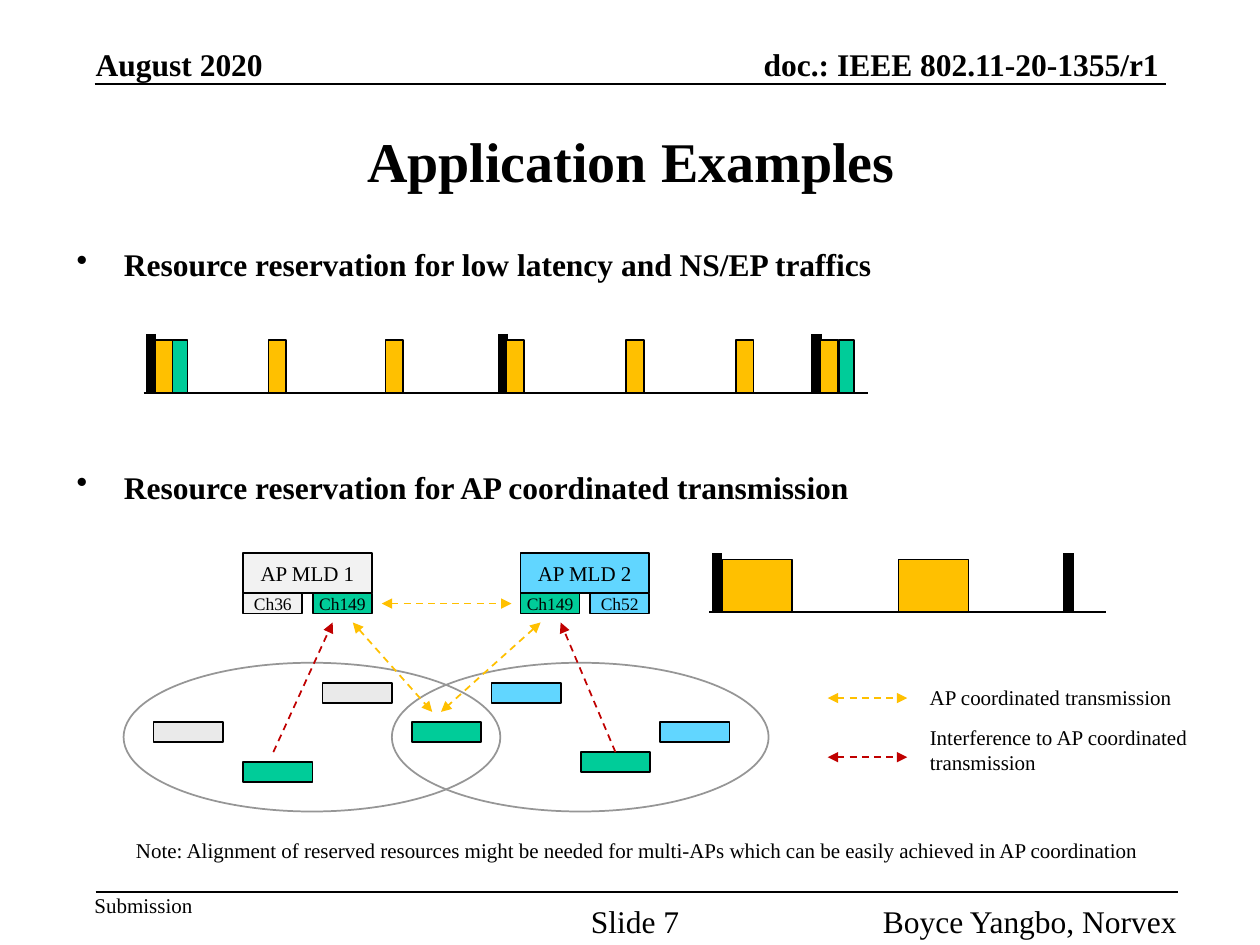
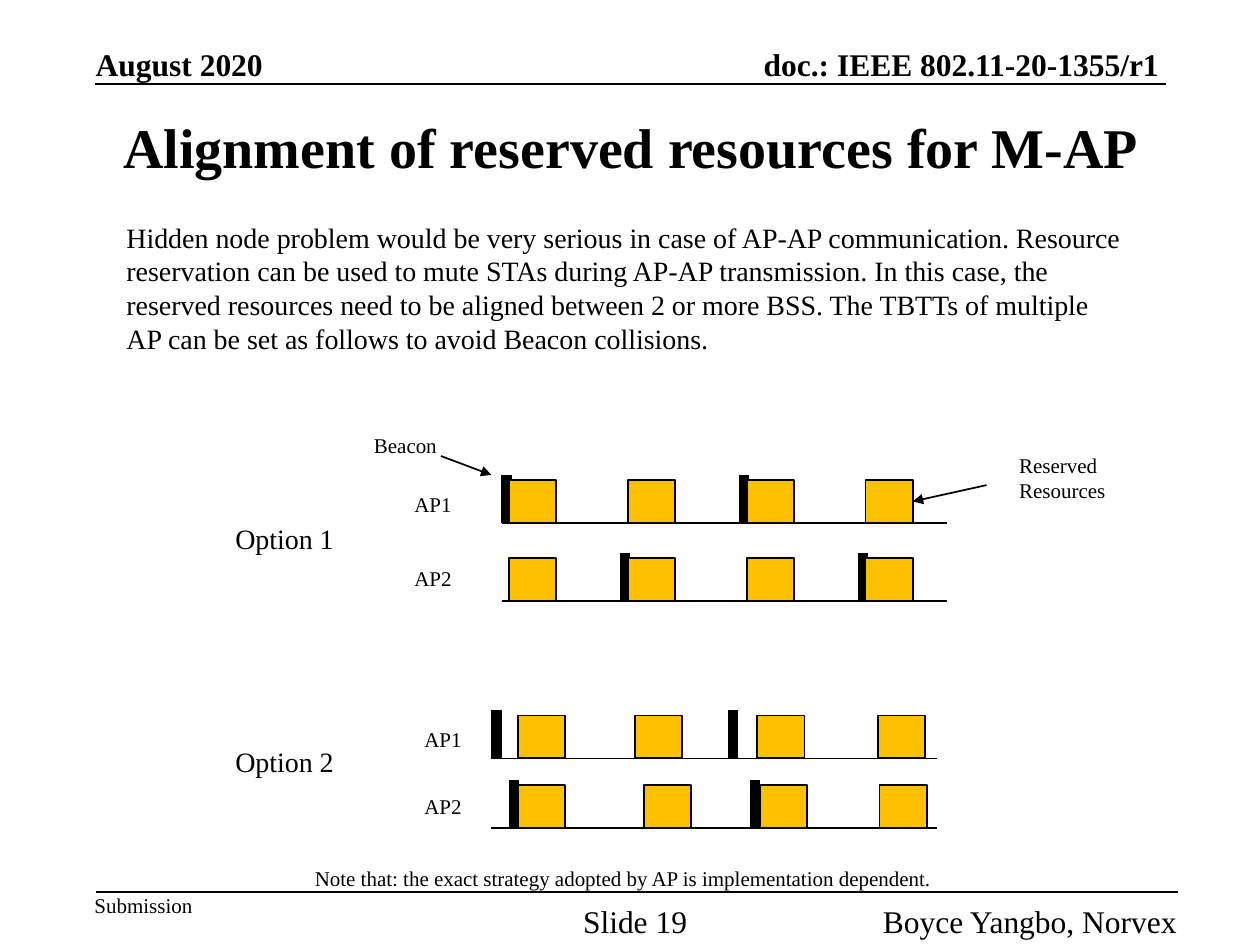
import lxml.etree
import pptx
import pptx.dml.color
import pptx.enum.dml
import pptx.enum.shapes
import pptx.enum.text
import pptx.oxml.ns
import pptx.util

Pt = pptx.util.Pt
qn = pptx.oxml.ns.qn
RGBColor = pptx.dml.color.RGBColor
ALIGN = pptx.enum.text.PP_ALIGN
ANCHOR = pptx.enum.text.MSO_ANCHOR
SHAPE = pptx.enum.shapes.MSO_SHAPE

BLACK = RGBColor(0x00, 0x00, 0x00)
AMBER = RGBColor(0xFF, 0xC0, 0x00)
GREEN = RGBColor(0x00, 0xCC, 0x99)
BLUE = RGBColor(0x61, 0xD6, 0xFF)
PALE = RGBColor(0xF2, 0xF2, 0xF2)
SILVER = RGBColor(0xEA, 0xEA, 0xEA)
GRAY = RGBColor(0x96, 0x96, 0x96)
RED = RGBColor(0xC0, 0x00, 0x00)


class SlideBuilder:
    font_name = "Times New Roman"
    beacon_width = 6

    def __init__(self):
        self.deck = pptx.Presentation()
        self.deck.slide_width = Pt(720)
        self.deck.slide_height = Pt(540)
        self.page = None

    def start_page(self, title, number, title_top, title_height):
        self.page = self.deck.slides.add_slide(self.deck.slide_layouts[5])
        heading = self.page.shapes.title
        heading.left, heading.top = Pt(54.7), Pt(title_top)
        heading.width, heading.height = Pt(612), Pt(title_height)
        self.set_text(heading, title, 32, True, ALIGN.CENTER, ANCHOR.MIDDLE)
        self.running_text("August 2020", 54.7, 25.9, 200, 18, True)
        self.running_text("doc.: IEEE 802.11-20-1355/r1", 398.2, 25.9, 264.2, 18, True, ALIGN.RIGHT)
        self.line((54, 48.2), (666, 48.2))
        self.line((54.7, 509.8), (673.2, 509.8))
        self.running_text("Submission", 54, 509.8, 100, 12)
        self.running_text(f"Slide {number}", 302.9, 515.5, 120, 18, align=ALIGN.CENTER)
        self.running_text("Boyce Yangbo, Norvex", 472.5, 515.5, 200, 18, align=ALIGN.RIGHT)

    def format_paragraph(self, para, size, bold, align):
        para.alignment = align
        para.font.name = self.font_name
        para.font.size = Pt(size)
        para.font.bold = bold
        para.font.color.rgb = BLACK

    def set_text(self, box, text, size, bold=False, align=ALIGN.LEFT, anchor=ANCHOR.TOP, inset=None):
        frame = box.text_frame
        frame.auto_size = pptx.enum.text.MSO_AUTO_SIZE.NONE
        frame.word_wrap = True
        frame.vertical_anchor = anchor
        if inset is not None:
            frame.margin_left = frame.margin_right = Pt(inset)
            frame.margin_top = frame.margin_bottom = Pt(inset)
        frame.text = text
        self.format_paragraph(frame.paragraphs[0], size, bold, align)

    def text_box(self, left, top, width, height):
        return self.page.shapes.add_textbox(Pt(left), Pt(top), Pt(width), Pt(height))

    def label(self, text, left, top, width, height=21.6, size=12):
        self.set_text(self.text_box(left, top, width, height), text, size)

    def running_text(self, text, left, top, width, size, bold=False, align=ALIGN.LEFT):
        anchor = ANCHOR.BOTTOM if bold else ANCHOR.TOP
        box = self.text_box(left, top, width, 21.6)
        self.set_text(box, text, size, bold, align, anchor, 0)

    def bullets(self, items, left, top, width, height, gap):
        frame = self.text_box(left, top, width, height).text_frame
        frame.word_wrap = True
        for index, item in enumerate(items):
            para = frame.add_paragraph() if index else frame.paragraphs[0]
            para.text = item
            properties = para._p.get_or_add_pPr()
            properties.set("marL", str(Pt(27)))
            properties.set("indent", str(-Pt(27)))
            lxml.etree.SubElement(properties, qn("a:buChar"), char="•")
            if index:
                para.space_before = Pt(gap)
            self.format_paragraph(para, 18, True, ALIGN.LEFT)

    def shape(self, left, top, width, height, fill, kind=SHAPE.RECTANGLE, outline=BLACK):
        shape = self.page.shapes.add_shape(kind, Pt(left), Pt(top), Pt(width), Pt(height))
        shape.shadow.inherit = False
        if fill is None:
            shape.fill.background()
        else:
            shape.fill.solid()
            shape.fill.fore_color.rgb = fill
        shape.line.color.rgb = outline
        shape.line.width = Pt(1)
        return shape

    def block(self, text, left, top, width, height, fill, size):
        box = self.shape(left, top, width, height, fill)
        self.set_text(box, text, size, False, ALIGN.CENTER, ANCHOR.MIDDLE, 0)

    def line(self, start, end, color=BLACK, width=1, dashed=False, ends=()):
        points = [Pt(value) for value in (*start, *end)]
        connector = self.page.shapes.add_connector(pptx.enum.shapes.MSO_CONNECTOR.STRAIGHT, *points)
        connector.line.color.rgb = color
        connector.line.width = Pt(width)
        if dashed:
            connector.line.dash_style = pptx.enum.dml.MSO_LINE.DASH
        properties = connector._element.spPr
        for end_name in ends:
            lxml.etree.SubElement(properties.find(qn("a:ln")), qn(f"a:{end_name}"), type="triangle")
        lxml.etree.SubElement(properties, qn("a:effectLst"))
        return connector

    def arrow(self, start, end, color=BLACK, dashed=False):
        return self.line(start, end, color, dashed=dashed, ends=["tailEnd"])

    def double_arrow(self, start, end, color):
        self.line(start, end, color, dashed=True, ends=["headEnd", "tailEnd"])

    def timeline(self, left, right, base, beacons, slots, slot_width, slot_height, beacon_height, fill=AMBER):
        self.line((left, base), (right, base))
        for x in beacons:
            self.line((x, base - beacon_height), (x, base), width=self.beacon_width)
        return [self.shape(x, base - slot_height, slot_width, slot_height, fill) for x in slots]


def add_access_point(builder, name, left, fill, channels):
    builder.block(name, left, 316.1, 73.4, 22.6, fill, 12)
    for index, (channel, color) in enumerate(channels):
        builder.block(channel, left + 39.8 * index, 339.1, 33.8, 11.5, color, 10)


def build_application_examples(builder):
    builder.start_page("Application Examples", 7, 49.7, 84.2)
    builder.bullets(
        ["Resource reservation for low latency and NS/EP traffics",
         "Resource reservation for AP coordinated transmission"],
        36.7, 136.5, 655.2, 324, 105.6)

    base, slot_height, beacon_height = 224.6, 30.2, 33.8
    reserved = [88.6, 153.4, 220.3, 289.4, 357.8, 420.5, 468.7]
    builder.timeline(82.1, 496.1, base, [86.4, 287.3, 466.6], reserved, 10.1, slot_height, beacon_height)
    for x in (98.6, 479.5):
        builder.shape(x, base - slot_height, 8.6, slot_height, GREEN)
    builder.timeline(405.4, 632.2, 349.9, [409.7, 610.6], [412.6, 513.4], 40, slot_height, beacon_height)

    add_access_point(builder, "AP MLD 1", 139, PALE, [("Ch36", PALE), ("Ch149", GREEN)])
    add_access_point(builder, "AP MLD 2", 297.4, BLUE, [("Ch149", GREEN), ("Ch52", BLUE)])
    for left in (70.6, 223.9):
        builder.shape(left, 378.7, 215.3, 85, None, SHAPE.OVAL, GRAY)

    stations = [(87.8, 412.6, SILVER), (184.3, 390.2, SILVER), (139, 435.6, GREEN),
                (235.4, 412.6, GREEN), (280.8, 390.2, BLUE), (377.3, 412.6, BLUE)]
    for left, top, color in stations:
        builder.shape(left, top, 39.6, 11.5, color)
    interferer = builder.shape(331.9, 429.8, 39.6, 11.5, GREEN)

    builder.double_arrow((218.2, 344.9), (292.3, 344.9), AMBER)
    builder.double_arrow((201.6, 355.7), (247, 406.8), AMBER)
    builder.double_arrow((308.9, 355.7), (252, 406.8), AMBER)
    builder.arrow((156.2, 429.8), (190.1, 355.7), RED, True)
    builder.arrow((351.7, 429.8), (320.4, 355.7), RED, True).begin_connect(interferer, 0)

    for y, color in ((398.9, AMBER), (432.7, RED)):
        builder.double_arrow((473, y), (518.4, y), color)
    builder.label("AP coordinated transmission", 524.2, 387.4, 160)
    builder.label("Interference to AP coordinated transmission", 524.2, 410.4, 165, 36)
    builder.label("Note: Alignment of reserved resources might be needed for multi-APs "
                  "which can be easily achieved in AP coordination", 70.6, 475.2, 596)


def build_alignment(builder):
    builder.start_page("Alignment of reserved resources for M-AP", 19, 28.1, 110.9)
    builder.label(
        "Hidden node problem would be very serious in case of AP-AP communication. Resource "
        "reservation can be used to mute STAs during AP-AP transmission. In this case, the "
        "reserved resources need to be aligned between 2 or more BSS. The TBTTs of multiple "
        "AP can be set as follows to avoid Beacon collisions.", 65.2, 122.4, 584, 85, 16)

    sizes = dict(slot_width=27, slot_height=24.5, beacon_height=27.4)
    pitch = 67.9
    aligned_slots = [290.9 + pitch * index for index in range(4)]
    beacon_times = [289.4 + pitch * index for index in range(4)]
    first_row = builder.timeline(286.6, 541.4, 298.8, beacon_times[::2], aligned_slots, **sizes)
    builder.timeline(286.6, 541.4, 343.4, beacon_times[1::2], aligned_slots, **sizes)
    builder.timeline(280.8, 535.7, 433.4, [283.7, 419], [295.9, 362.9, 432.7, 501.8], **sizes)
    builder.timeline(280.8, 535.7, 473.2, [293.8, 431.3], [295.9, 367.9, 434.2, 502.6], **sizes)

    row_labels = [("AP1", 229.7, 277.2), ("AP2", 229.7, 319.7),
                  ("AP1", 235.4, 411.8), ("AP2", 235.4, 450)]
    for text, left, top in row_labels:
        builder.label(text, left, top, 45.4)
    for text, top in (("Option 1", 294.5), ("Option 2", 421.9)):
        builder.label(text, 127.4, top, 96.5, 26.6, 16)

    builder.label("Beacon", 206.6, 243.4, 56.9)
    builder.arrow((252, 260.6), (280.8, 271.4))
    builder.label("Reserved Resources", 575.3, 254.9, 73.4, 36)
    builder.arrow((563.8, 277.2), (521.6, 286.6)).end_connect(first_row[-1], 3)
    builder.label("Note that: the exact strategy adopted by AP is implementation dependent.",
                  172.8, 491, 532.8)


def main():
    builder = SlideBuilder()
    build_application_examples(builder)
    build_alignment(builder)
    builder.deck.save("out.pptx")


if __name__ == "__main__":
    main()
